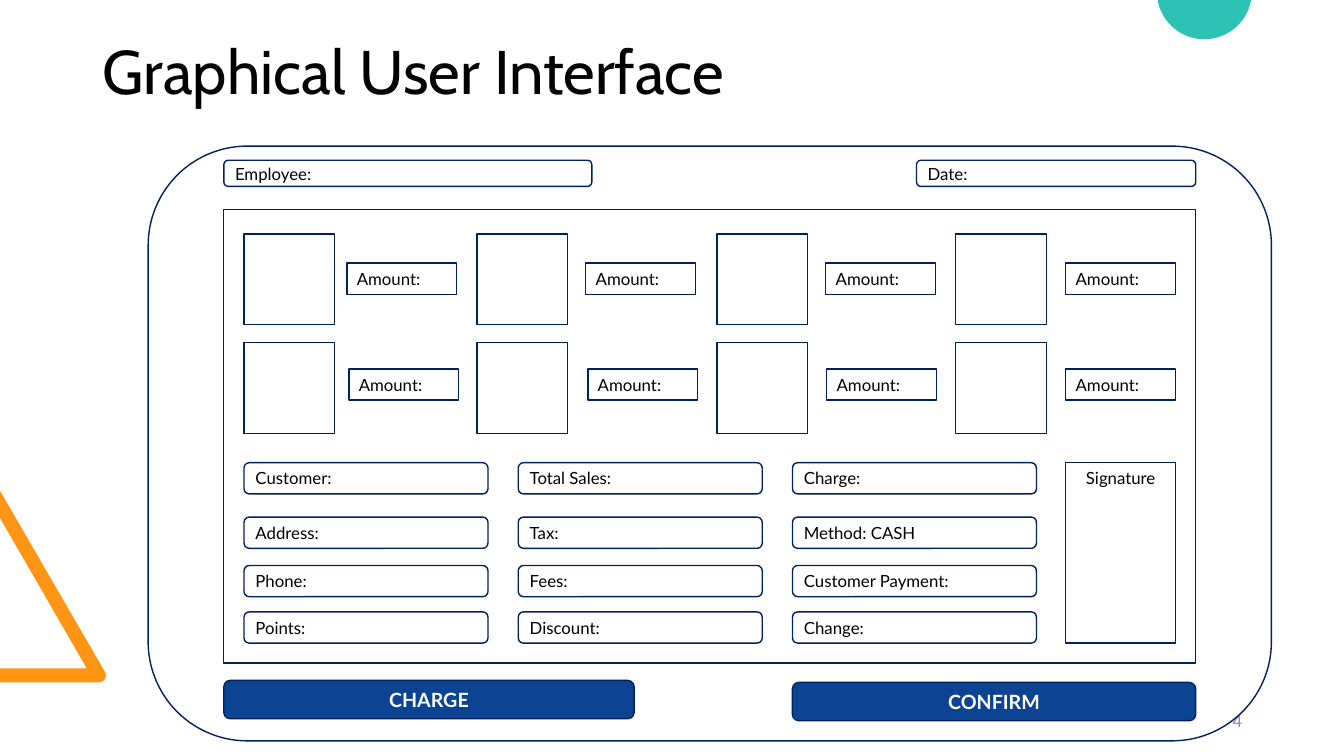
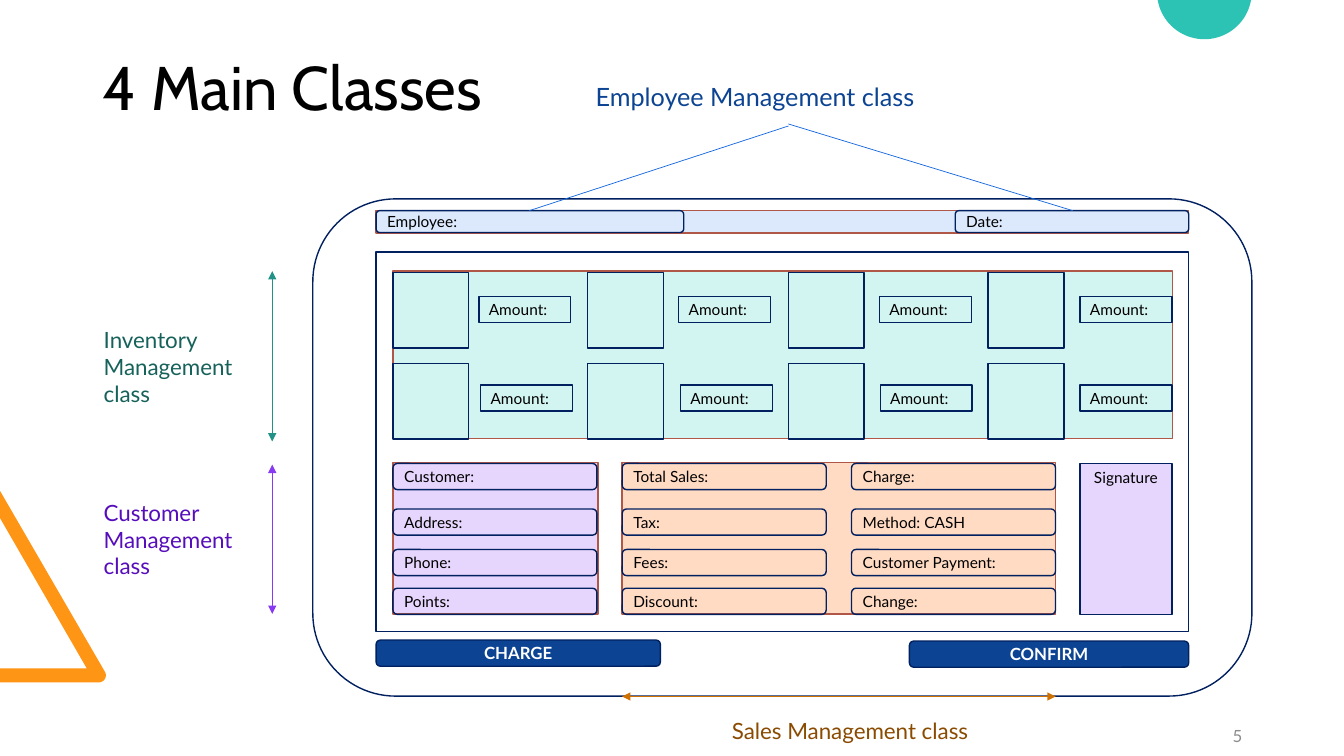
import math
from dataclasses import dataclass

import pptx
import pptx.dml.color
import pptx.enum.shapes
import pptx.enum.text
import pptx.oxml.ns
import pptx.util
from lxml import etree

Inches = pptx.util.Inches
RGB = pptx.dml.color.RGBColor.from_string
SHAPE = pptx.enum.shapes.MSO_SHAPE
ALIGN = pptx.enum.text.PP_ALIGN
ANCHOR = pptx.enum.text.MSO_ANCHOR
qn = pptx.oxml.ns.qn


@dataclass(frozen=True)
class Theme:
    heading: str = "Cabin"
    body: str = "Lato"
    black: str = "000000"
    white: str = "FFFFFF"
    grey: str = "8C8C8C"
    navy: str = "002060"
    blue: str = "0C4493"
    bright_blue: str = "1366DC"
    pale_blue: str = "DCE9FC"
    rust: str = "B05748"
    orange: str = "FF9514"
    dark_orange: str = "CE7100"
    brown: str = "8A4B00"
    peach: str = "FFDBC3"
    teal: str = "2CC3B4"
    mid_teal: str = "219287"
    dark_teal: str = "16625A"
    mint: str = "D3F5F2"
    purple: str = "873AF2"
    dark_purple: str = "560DBB"
    lilac: str = "E6D5FC"
    title_size: int = 44
    lead_size: int = 18
    label_size: int = 16
    small_size: int = 12


@dataclass(frozen=True)
class Box:
    x: float
    y: float
    w: float
    h: float
    text: str = ""
    fill: str | None = None
    line: str = "002060"
    rounded: bool = False


@dataclass(frozen=True)
class Label:
    x: float
    y: float
    w: float
    h: float
    text: str
    color: str
    size: int


@dataclass(frozen=True)
class Line:
    x1: float
    y1: float
    x2: float
    y2: float
    color: str
    arrows: bool = True


@dataclass(frozen=True)
class Form:
    x: float
    y: float
    scale: float
    size: int
    button_size: int
    buttons: tuple[Box, ...]
    signature_fill: str | None = None


T = Theme()
PANEL = Box(2.22, 2.08, 9.64, 4.5)
PHOTO_COLUMNS = (2.42, 4.73, 7.11, 9.48)
PHOTO_ROWS = (2.32, 3.4)
AMOUNT_ROWS = (
    (2.61, (3.44, 5.81, 8.19, 10.57)),
    (3.66, (3.46, 5.83, 8.2, 10.57)),
)
FIELD_LEFT, FIELD_PITCH = 2.42, 2.72
FIELD_ROWS = (4.59, 5.13, 5.61, 6.07)
FIELDS = (
    ("Customer:", "Address:", "Phone:", "Points:"),
    ("Total Sales:", "Tax:", "Fees:", "Discount:"),
    ("Charge:", "Method: CASH", "Customer Payment:", "Change:"),
)

FULL_FORM = Form(2.22, 2.08, 1, 12, 14, (
    Box(7.86, 6.77, 4, 0.38, "CONFIRM", T.blue, rounded=True),
    Box(2.22, 6.75, 4.07, 0.38, "CHARGE", T.blue, rounded=True),
))
CLASS_FORM = Form(3.73, 2.5, 8.06 / PANEL.w, 11, 12, (
    Box(9.02, 6.36, 2.77, 0.26, "CONFIRM", T.blue, rounded=True),
    Box(3.73, 6.35, 2.82, 0.26, "CHARGE", T.blue, rounded=True),
), T.lilac)
CLASS_AREAS = (
    Box(3.9, 4.59, 2.03, 1.5, fill=T.lilac, line=T.rust),
    Box(3.9, 2.69, 7.73, 1.66, fill=T.mint, line=T.rust),
    Box(3.73, 2.09, 8.06, 0.22, fill=T.pale_blue, line=T.rust),
    Box(6.17, 4.59, 4.3, 1.5, fill=T.peach, line=T.rust),
)
CLASS_LINES = (
    Line(5.25, 2.09, 7.82, 1.25, T.bright_blue, False),
    Line(10.64, 2.09, 7.82, 1.23, T.bright_blue, False),
    Line(2.7, 2.69, 2.7, 4.38, T.mid_teal),
    Line(2.7, 4.61, 2.7, 6.09, T.purple),
    Line(6.17, 6.91, 10.47, 6.91, T.dark_orange),
)
CLASS_LABELS = (
    Label(5.81, 0.76, 3.9, 0.4, "Employee Management class", T.blue, T.lead_size),
    Label(0.93, 3.19, 1.58, 0.91, "Inventory Management class", T.dark_teal, T.label_size),
    Label(0.93, 4.9, 1.58, 0.91, "Customer Management class", T.dark_purple, T.label_size),
    Label(7.16, 7.07, 2.82, 0.37, "Sales Management class", T.brown, T.label_size),
)


def write(sp, text: str, *, size: int, color: str = T.black, font: str = T.body,
          bold: bool = False, align=ALIGN.LEFT, anchor=ANCHOR.MIDDLE,
          spacing: float = 1.0) -> None:
    tf = sp.text_frame
    tf.word_wrap = True
    tf.auto_size = pptx.enum.text.MSO_AUTO_SIZE.NONE
    tf.vertical_anchor = anchor
    p = tf.paragraphs[0]
    p.alignment, p.line_spacing = align, spacing
    r = p.add_run()
    r.text = text
    r.font.name, r.font.size, r.font.bold = font, pptx.util.Pt(size), bold
    r.font.color.rgb = RGB(color)


def add_box(shapes, box: Box):
    kind = SHAPE.ROUNDED_RECTANGLE if box.rounded else SHAPE.RECTANGLE
    sp = shapes.add_shape(kind, *map(Inches, (box.x, box.y, box.w, box.h)))
    sp.shadow.inherit = False
    if box.fill:
        sp.fill.solid()
        sp.fill.fore_color.rgb = RGB(box.fill)
    else:
        sp.fill.background()
    sp.line.color.rgb = RGB(box.line)
    sp.line.width = pptx.util.Pt(1)
    return sp


def add_label(slide, label: Label, **fmt) -> None:
    sp = slide.shapes.add_textbox(*map(Inches, (label.x, label.y, label.w, label.h)))
    write(sp, label.text, size=label.size, color=label.color, **fmt)


def add_line(slide, line: Line) -> None:
    c = slide.shapes.add_connector(
        pptx.enum.shapes.MSO_CONNECTOR.STRAIGHT,
        *map(Inches, (line.x1, line.y1, line.x2, line.y2)))
    c.line.color.rgb = RGB(line.color)
    c.line.width = pptx.util.Pt(0.5)
    props = c.element.find(qn("p:spPr"))
    if line.arrows:
        for end in ("a:headEnd", "a:tailEnd"):
            etree.SubElement(props.find(qn("a:ln")), qn(end), type="triangle")
    etree.SubElement(props, qn("a:effectLst"))


def arc(cx: float, cy: float, radius: float, start: float, stop: float) -> list:
    steps = 40
    angles = [math.radians(start + (stop - start) * i / steps) for i in range(steps + 1)]
    return [(cx + radius * math.cos(a), cy + radius * math.sin(a)) for a in angles]


def add_outline(shapes, points: list, color: str):
    first, *rest = [(Inches(x), Inches(y)) for x, y in points]
    builder = shapes.build_freeform(*first)
    builder.add_line_segments(rest)
    sp = builder.convert_to_shape()
    sp.shadow.inherit = False
    sp.fill.solid()
    sp.fill.fore_color.rgb = RGB(color)
    sp.line.fill.background()
    return sp


def decorate(layout, slide) -> None:
    """Draw the shared corner ornaments and move them to the layout."""
    triangle = [(0, 6.77), (0, 6.63), (0.86, 6.63), (0, 5.14), (0, 4.87)]
    triangle += arc(0.98, 6.7, 0.07, -30, 90)
    circle = arc(11.945, -0.08, 0.47, 10, 170)
    for points, color in ((triangle, T.orange), (circle, T.teal)):
        layout.shapes.element.append(add_outline(slide.shapes, points, color).element)


def add_heading(slide, title: str, top: float, number: int, number_top: float) -> None:
    add_label(slide, Label(9.42, number_top, 3, 0.4, str(number), T.grey, T.small_size),
              align=ALIGN.RIGHT)
    sp = slide.shapes.title
    sp.left, sp.top, sp.width, sp.height = map(Inches, (0.92, top, 11.5, 1.45))
    write(sp, title, size=T.title_size, font=T.heading, spacing=0.9)


def form_boxes() -> list[Box]:
    boxes = [
        Box(1.47, 1.45, 11.14, 5.9, rounded=True),
        Box(2.22, 1.59, 3.65, 0.26, "Employee:", rounded=True),
        Box(9.09, 1.59, 2.77, 0.26, "Date:", rounded=True),
        PANEL,
    ]
    boxes += [Box(x, y, 0.9, 0.9) for y in PHOTO_ROWS for x in PHOTO_COLUMNS]
    boxes += [Box(x, y, 1.09, 0.31, "Amount:") for y, xs in AMOUNT_ROWS for x in xs]
    boxes += [Box(FIELD_LEFT + i * FIELD_PITCH, y, 2.42, 0.31, text, rounded=True)
              for i, column in enumerate(FIELDS)
              for y, text in zip(FIELD_ROWS, column)]
    return boxes


def add_form(slide, form: Form) -> None:
    def place(b: Box, fill: str | None = None):
        k = form.scale
        return add_box(group.shapes, Box(
            form.x + (b.x - PANEL.x) * k, form.y + (b.y - PANEL.y) * k,
            b.w * k, b.h * k, fill=fill, rounded=b.rounded))

    group = slide.shapes.add_group_shape()
    for box in form_boxes():
        sp = place(box)
        if box.text:
            write(sp, box.text, size=form.size)
    signature = place(Box(10.57, 4.59, 1.09, 1.79), form.signature_fill)
    write(signature, "Signature", size=form.size, align=ALIGN.CENTER, anchor=ANCHOR.TOP)
    for button in form.buttons:
        write(add_box(slide.shapes, button), button.text, size=form.button_size,
              color=T.white, bold=True, align=ALIGN.CENTER)


def main() -> None:
    prs = pptx.Presentation()
    prs.slide_width, prs.slide_height = Inches(13.33), Inches(7.5)
    layout = prs.slide_layouts[5]

    slide = prs.slides.add_slide(layout)
    decorate(layout, slide)
    add_heading(slide, "Graphical User Interface", 0.01, 4, 6.95)
    add_form(slide, FULL_FORM)

    slide = prs.slides.add_slide(layout)
    for area in CLASS_AREAS:
        add_box(slide.shapes, area)
    add_heading(slide, "4 Main Classes", 0.17, 5, 7.1)
    add_form(slide, CLASS_FORM)
    for line in CLASS_LINES:
        add_line(slide, line)
    for label in CLASS_LABELS:
        add_label(slide, label, anchor=ANCHOR.TOP)

    prs.save("out.pptx")


if __name__ == "__main__":
    main()
